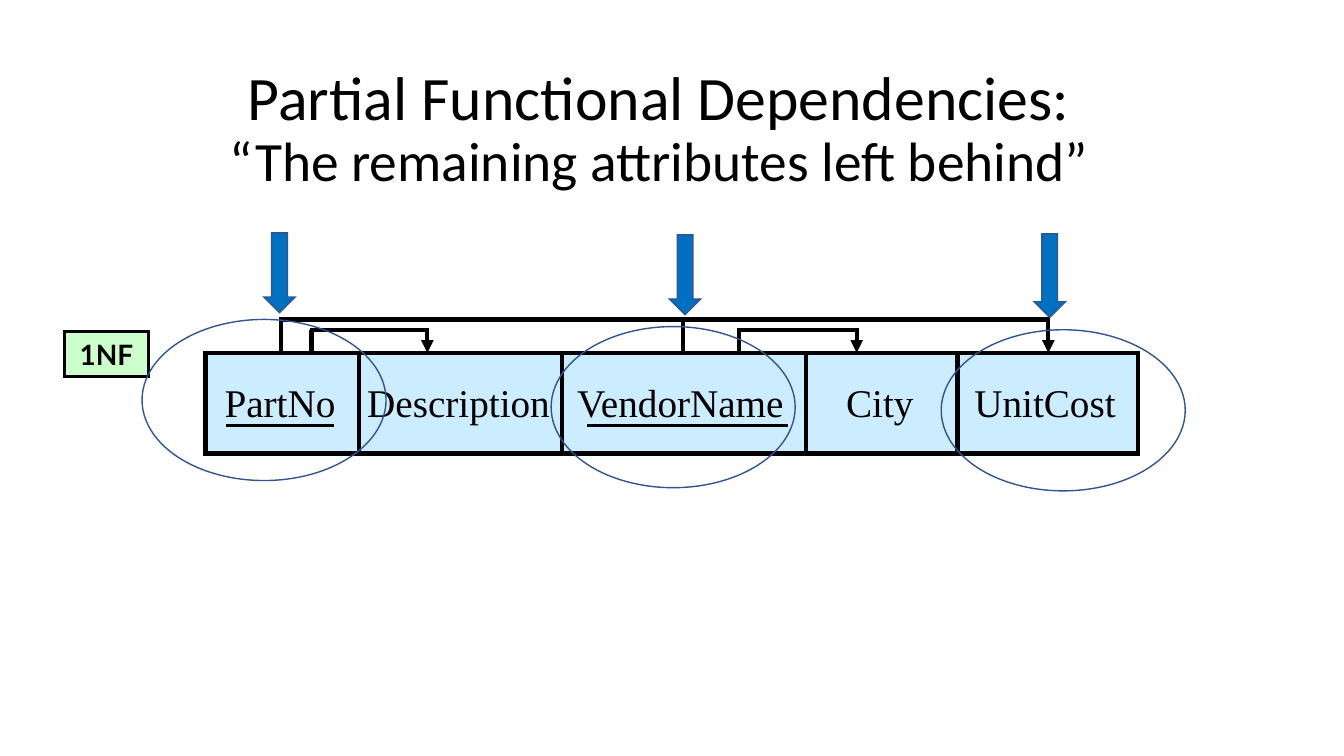
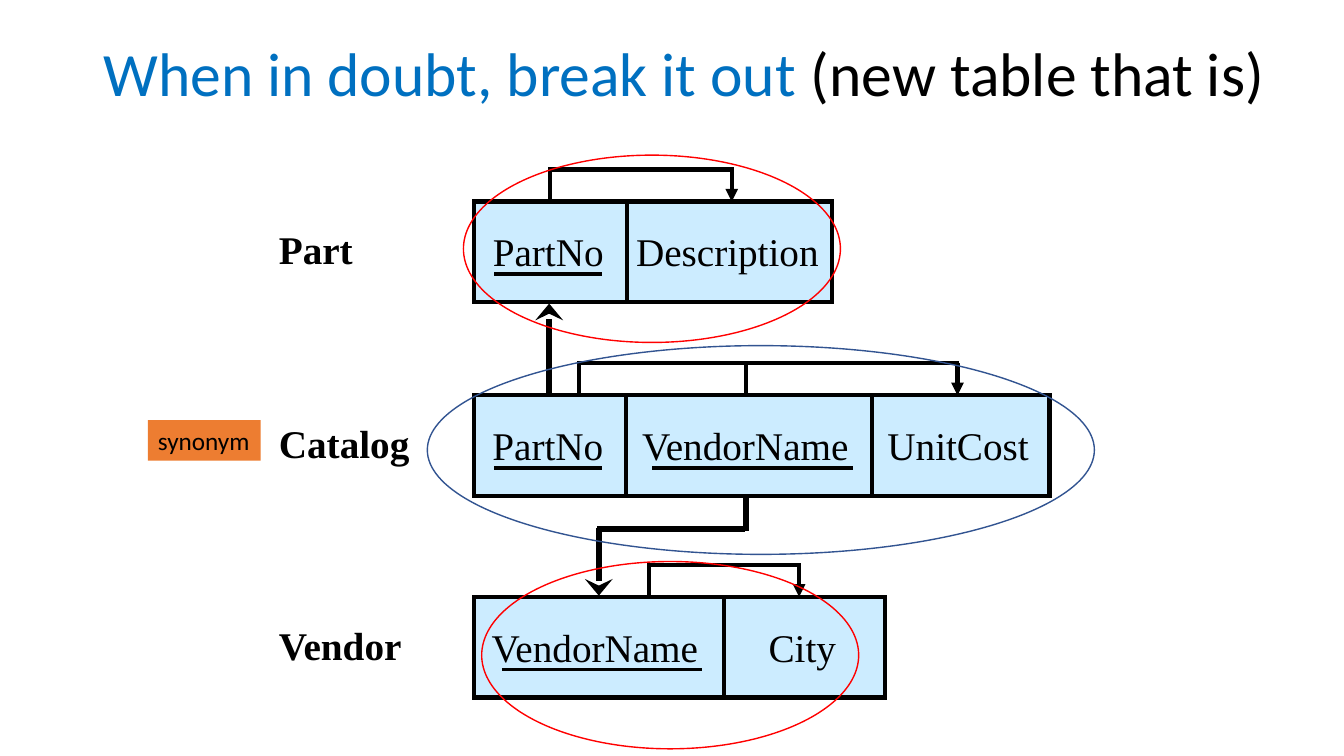
from dataclasses import dataclass
from typing import Optional

from lxml import etree
from pptx import Presentation
from pptx import util as u
from pptx.dml import color
from pptx.enum import shapes, text
from pptx.oxml import ns

# Shared look
BLACK, BLUE, RED = "000000", "0070C0", "FF0000"
EDGE, CELL, MINT, ORANGE = "325491", "CCECFF", "CCFFCC", "ED7D31"
SANS, SERIF, BADGE = "Calibri", "Times New Roman", "Lato"
KIND = shapes.MSO_SHAPE
ALIGN = text.PP_ALIGN
FIT = text.MSO_AUTO_SIZE
ROW_H = 2.54


@dataclass
class Run:
    words: str
    size: float
    font: str = SANS
    hue: str = BLACK
    bold: bool = False
    wrap: bool = False  # line break after the run


@dataclass
class Box:
    left: float
    top: float
    width: float
    high: float


@dataclass
class Field:
    """Text box width, and length and shift of the key line."""
    width: float
    key: float = 0
    shift: float = 0


@dataclass
class Link:
    """Dependency bracket above a row; the last stem is an arrow."""
    rise: float
    stems: tuple[float, ...]


@dataclass
class Row:
    left: float
    top: float
    cells: tuple[tuple[str, float], ...]  # field name, cell width
    links: tuple[Link, ...]
    label: str = ""
    span: float = 0  # label width


FIELDS = {
    "PartNo": Field(3.4, 2.72, -0.05),
    "Description": Field(5.2),
    "VendorName": Field(5.9, 5.05, 0.08),
    "City": Field(2.3),
    "UnitCost": Field(4.2),
}


def rgb(hue: str) -> color.RGBColor:
    return color.RGBColor.from_string(hue)


def write(para, runs: list[Run]) -> None:
    for item in runs:
        run = para.add_run()
        run.text = item.words
        font = run.font
        font.name, font.size, font.bold = item.font, u.Pt(item.size), item.bold
        font.color.rgb = rgb(item.hue)
        if item.wrap:
            para.add_line_break()


def place(box: Box) -> tuple[u.Cm, ...]:
    return tuple(u.Cm(n) for n in (box.left, box.top, box.width, box.high))


def title(slide, box: Box, runs: list[Run]) -> None:
    head = slide.shapes.title
    head.left, head.top, head.width, head.height = place(box)
    frame = head.text_frame
    frame.word_wrap = True
    frame.auto_size = FIT.NONE
    frame.vertical_anchor = text.MSO_ANCHOR.MIDDLE
    para = frame.paragraphs[0]
    para.alignment, para.line_spacing = ALIGN.CENTER, 0.9
    write(para, runs)


def shape(slide, kind, box: Box, fill: Optional[str] = None,
          edge: Optional[str] = None, thick: float = 1):
    item = slide.shapes.add_shape(kind, *place(box))
    item.shadow.inherit = False
    if fill:
        item.fill.solid()
        item.fill.fore_color.rgb = rgb(fill)
    else:
        item.fill.background()
    if edge:
        item.line.color.rgb = rgb(edge)
        item.line.width = u.Pt(thick)
        # Square corners
        props = item.element.spPr.find(ns.qn("a:ln"))
        etree.SubElement(props, ns.qn("a:miter"), lim="800000")
    else:
        item.line.fill.background()
    return item


def badge(item, run: Run, align, anchor) -> None:
    frame = item.text_frame
    frame.vertical_anchor = anchor
    frame.paragraphs[0].alignment = align
    write(frame.paragraphs[0], [run])


def note(slide, left: float, top: float, width: float, run: Run) -> None:
    item = slide.shapes.add_textbox(*place(Box(left, top, width, 1.45)))
    item.text_frame.word_wrap = False
    item.text_frame.auto_size = FIT.SHAPE_TO_FIT_TEXT
    write(item.text_frame.paragraphs[0], [run])


def line(slide, x1: float, y1: float, x2: float, y2: float,
         thick: float = 3, tip: str = "", wide: str = "med") -> None:
    item = slide.shapes.add_connector(
        shapes.MSO_CONNECTOR.STRAIGHT, *(u.Cm(n) for n in (x1, y1, x2, y2)))
    item.line.color.rgb = rgb(BLACK)
    item.line.width = u.Pt(thick)
    props = item.element.spPr
    if tip:
        etree.SubElement(props.find(ns.qn("a:ln")), ns.qn("a:tailEnd"),
                         type=tip, w=wide)
    etree.SubElement(props, ns.qn("a:effectLst"))


def bracket(slide, top: float, link: Link) -> None:
    bar = top - link.rise
    *stems, end = link.stems
    for x in stems:
        line(slide, x, bar, x, top)
    line(slide, end, bar, end, top, tip="triangle")
    line(slide, stems[0] - 0.05, bar, end + 0.05, bar)


def draw(slide, row: Row) -> None:
    wide = sum(width for _, width in row.cells)
    shape(slide, KIND.RECTANGLE, Box(row.left, row.top, wide, ROW_H), CELL, BLACK, 3)
    x = row.left
    for name, width in row.cells:
        field, mid = FIELDS[name], x + width / 2
        # Divider between cells
        if x > row.left:
            line(slide, x, row.top, x, row.top + ROW_H)
        note(slide, mid - field.width / 2, row.top + 0.53, field.width,
             Run(name, 28, SERIF))
        # Line under a key
        if field.key:
            start, y = mid + field.shift - field.key / 2, row.top + 1.83
            line(slide, start, y, start + field.key, y, 2.5)
        x += width
    for link in row.links:
        bracket(slide, row.top, link)
    if row.label:
        note(slide, 6.78, row.top + 0.48, row.span, Run(row.label, 28, SERIF, bold=True))


def first(slide) -> None:
    title(slide, Box(2.97, 1.7, 27.28, 3.18), [
        Run("Partial Functional Dependencies:", 44.1, wrap=True),
        Run("“The remaining attributes left behind”", 39.6)])
    draw(slide, Row(
        5.18, 8.89,
        (("PartNo", 3.86), ("Description", 5.13), ("VendorName", 6.15),
         ("City", 3.81), ("UnitCost", 4.55)),
        (Link(0.58, (7.85, 10.77)), Link(0.58, (18.62, 21.59)),
         Link(0.84, (7.09, 17.22, 26.42)))))
    # Pointers to the attributes left behind
    for x, y, high in ((6.65, 5.87, 2.01), (16.87, 5.92, 2.01), (26.06, 5.89, 2.11)):
        shape(slide, KIND.DOWN_ARROW, Box(x, y, 0.79, high), BLUE, EDGE)
    tag = shape(slide, KIND.RECTANGLE, Box(1.63, 8.36, 2.11, 1.12), MINT, BLACK, 2)
    badge(tag, Run("1NF", 20, BADGE, bold=True), ALIGN.CENTER, text.MSO_ANCHOR.MIDDLE)
    for x, y in ((3.58, 8.05), (13.89, 8.23), (23.72, 8.31)):
        shape(slide, KIND.OVAL, Box(x, y, 6.15, 4.06), edge=EDGE)


def second(slide) -> None:
    title(slide, Box(1.55, 0.33, 31.37, 3.18), [
        Run("When in doubt, break it out ", 44, hue=BLUE),
        Run("(new table that is)", 44)])
    rows = (
        Row(11.94, 5.08, (("PartNo", 3.86), ("Description", 5.16)),
            (Link(0.81, (13.87, 18.44)),), "Part", 2.39),
        Row(11.94, 9.96, (("PartNo", 3.84), ("VendorName", 6.2), ("UnitCost", 4.47)),
            (Link(0.81, (14.6, 18.8, 24.13)),), "Catalog", 3.81),
        Row(11.94, 15.04, (("VendorName", 6.3), ("City", 4.06)),
            (Link(0.81, (16.36, 20.14)),), "Vendor", 3.68),
    )
    for row in rows:
        draw(slide, row)
    # Foreign keys
    line(slide, 13.84, 9.98, 13.84, 7.65, 4, "stealth", "lg")
    line(slide, 18.8, 12.45, 18.8, 13.39, 4)
    line(slide, 18.78, 13.33, 15.04, 13.33, 4)
    line(slide, 15.09, 13.31, 15.09, 15.01, 4, "stealth", "lg")
    tag = shape(slide, KIND.RECTANGLE, Box(3.73, 10.59, 2.84, 1.02), ORANGE)
    badge(tag, Run("synonym", 18), ALIGN.LEFT, text.MSO_ANCHOR.TOP)
    # Rings around the tables
    for x, y in ((11.68, 3.91), (12.14, 14.15)):
        shape(slide, KIND.OVAL, Box(x, y, 9.5, 4.72), edge=RED)
    shape(slide, KIND.OVAL, Box(10.77, 8.71, 16.81, 5.26), edge=EDGE)


def main() -> None:
    deck = Presentation()
    deck.slide_width, deck.slide_height = u.Cm(33.87), u.Cm(19.05)
    for build in (first, second):
        build(deck.slides.add_slide(deck.slide_layouts[5]))
    deck.save("out.pptx")


if __name__ == "__main__":
    main()
